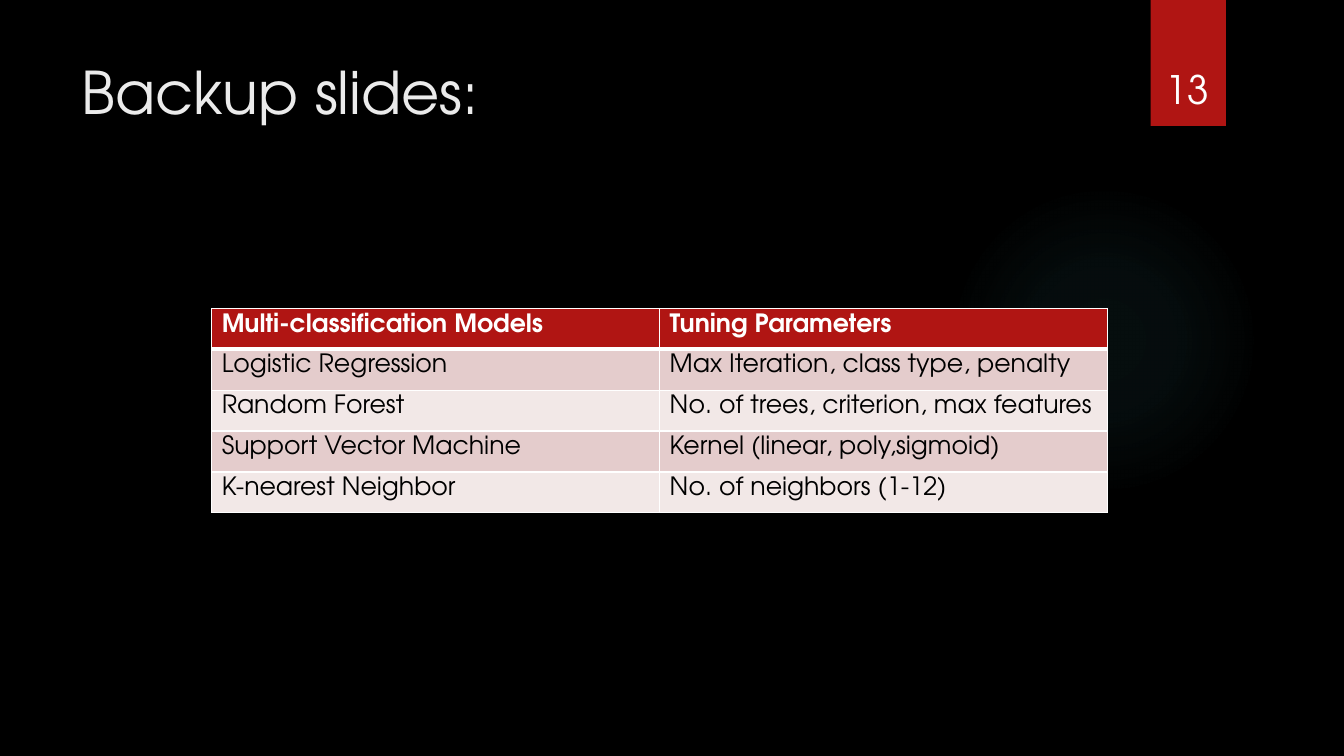
from lxml import etree
from pptx import Presentation
from pptx.dml.color import RGBColor
from pptx.enum import shapes, text
from pptx.oxml import ns, parse_xml
from pptx.util import Pt

# Content
TITLE = "Backup slides:"
PAGE_NUMBER = "13"
MODELS = [
    ("Multi-classification Models", "Tuning Parameters"),
    ("Logistic Regression", "Max Iteration, class type, penalty"),
    ("Random Forest", "No. of trees, criterion, max features"),
    ("Support Vector Machine", "Kernel (linear, poly,sigmoid)"),
    ("K-nearest Neighbor", "No. of neighbors (1-12)"),
]
FONT = "TeX Gyre Adventor"
COLORS = {
    "background": "000000", "glow": "50B9C1", "red": "B01513",
    "title": "EBEBEB", "white": "FFFFFF", "black": "000000",
    "odd_row": "E4CCCC", "even_row": "F2E8E7",
}
GLOW_STOPS = [(0, 7), (36, 6), (69, 0)]  # position and opacity in percent
TABLE_LEFT, TABLE_TOP, COLUMN_WIDTH, ROW_HEIGHT = 151.2, 220.3, 320, 29.2


def color(name):
    return RGBColor.from_string(COLORS[name])


def write(text_frame, content, size, color_name, bold=False):
    text_frame.text = content
    font = text_frame.paragraphs[0].runs[0].font
    font.name, font.size, font.bold = FONT, Pt(size), bold
    font.color.rgb = color(color_name)


def add_flat_shape(kind, left, top, width, height):
    shape = slide.shapes.add_shape(kind, Pt(left), Pt(top), Pt(width), Pt(height))
    shape.shadow.inherit = False
    shape.line.fill.background()
    return shape


def set_borders(cell, bottom_width):
    properties = cell._tc.get_or_add_tcPr()
    widths = {"lnL": 1, "lnR": 1, "lnT": 1, "lnB": bottom_width}
    for index, (side, width) in enumerate(widths.items()):
        properties.insert(index, parse_xml(
            f'<a:{side} {ns.nsdecls("a")} w="{Pt(width)}"><a:solidFill>'
            f'<a:srgbClr val="{COLORS["white"]}"/></a:solidFill></a:{side}>'))


presentation = Presentation()
presentation.slide_width, presentation.slide_height = Pt(960), Pt(540)
slide = presentation.slides.add_slide(presentation.slide_layouts[5])
slide.background.fill.solid()
slide.background.fill.fore_color.rgb = color("background")

# Soft glow behind the table
glow = add_flat_shape(shapes.MSO_SHAPE.OVAL, 677.5, 131.8, 221.8, 221.8)
glow.fill.solid()
stops = "".join(
    f'<a:gs pos="{position * 1000}"><a:srgbClr val="{COLORS["glow"]}">'
    f'<a:alpha val="{opacity * 1000}"/></a:srgbClr></a:gs>'
    for position, opacity in GLOW_STOPS)
gradient = parse_xml(
    f'<a:gradFill {ns.nsdecls("a")} rotWithShape="1"><a:gsLst>{stops}</a:gsLst>'
    '<a:path path="circle"><a:fillToRect l="50000" t="50000" r="50000" b="50000"/>'
    '</a:path></a:gradFill>')
glow_properties = glow._element.spPr
glow_properties.replace(glow_properties.find(ns.qn("a:solidFill")), gradient)

# Red page tab with its shadow
tab = add_flat_shape(shapes.MSO_SHAPE.RECTANGLE, 821.9, 0, 53.8, 90)
tab.fill.solid()
tab.fill.fore_color.rgb = color("red")
effects = tab._element.spPr.find(ns.qn("a:effectLst"))
shadow = etree.SubElement(effects, ns.qn("a:outerShdw"), blurRad=str(Pt(3)),
                          dist=str(Pt(2)), dir="5400000", rotWithShape="0")
shadow_color = etree.SubElement(shadow, ns.qn("a:srgbClr"), val=COLORS["black"])
etree.SubElement(shadow_color, ns.qn("a:alpha"), val="45000")

# Title
title = slide.shapes.title
title.left, title.top, title.width, title.height = Pt(51), Pt(36), Pt(741), Pt(110)
write(title.text_frame, TITLE, 42, "title")
title.text_frame.vertical_anchor = text.MSO_ANCHOR.TOP
title.text_frame.paragraphs[0].alignment = text.PP_ALIGN.LEFT

# Page number
number = slide.shapes.add_textbox(Pt(815), Pt(23), Pt(66), Pt(60.5)).text_frame
number.word_wrap = True
number.vertical_anchor = text.MSO_ANCHOR.BOTTOM
write(number, PAGE_NUMBER, 28, "white")
number.paragraphs[0].alignment = text.PP_ALIGN.CENTER

# Table of models
table = slide.shapes.add_table(
    len(MODELS), len(MODELS[0]), Pt(TABLE_LEFT), Pt(TABLE_TOP),
    Pt(COLUMN_WIDTH * len(MODELS[0])), Pt(ROW_HEIGHT * len(MODELS))).table
for column in table.columns:
    column.width = Pt(COLUMN_WIDTH)
for row_index, values in enumerate(MODELS):
    header = row_index == 0
    fill = "red" if header else "odd_row" if row_index % 2 else "even_row"
    table.rows[row_index].height = Pt(ROW_HEIGHT)
    for column_index, value in enumerate(values):
        cell = table.cell(row_index, column_index)
        write(cell.text_frame, value, 18, "white" if header else "black", header)
        cell.fill.solid()
        cell.fill.fore_color.rgb = color(fill)
        set_borders(cell, 3 if header else 1)

presentation.save("out.pptx")
